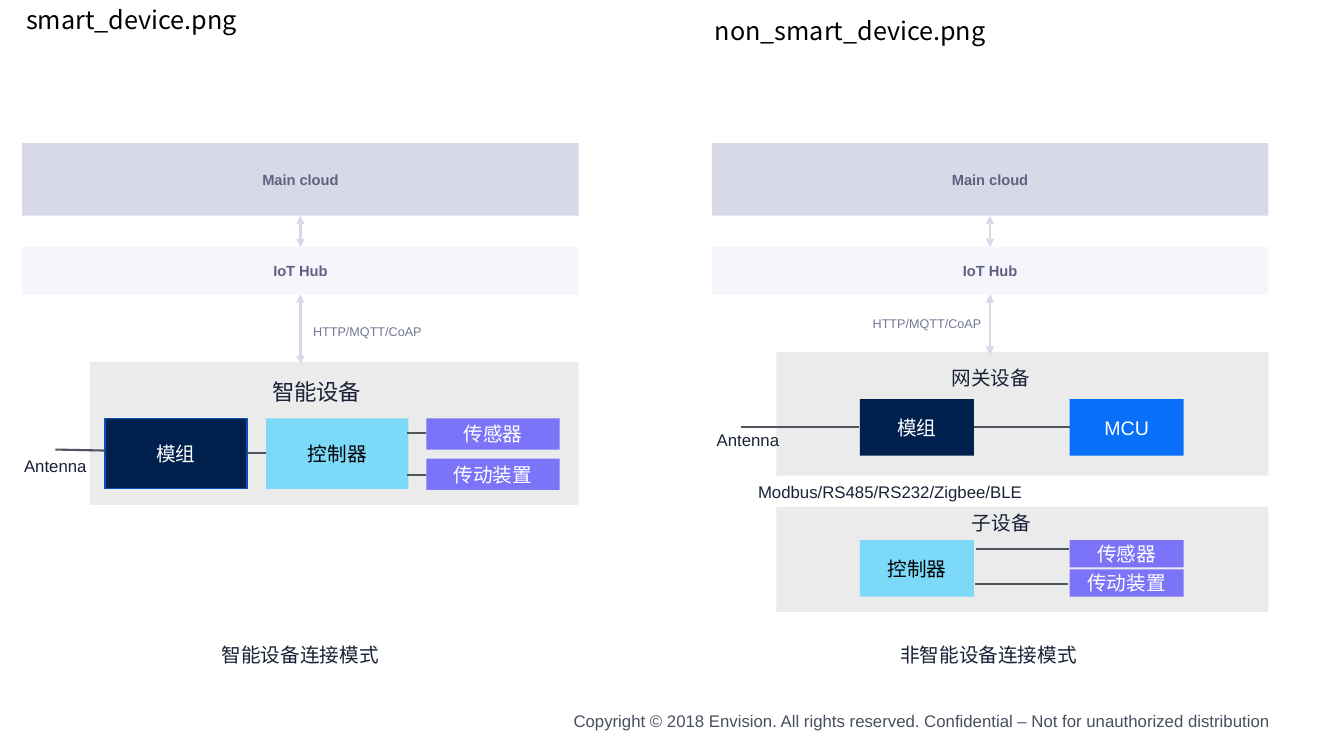
from dataclasses import dataclass

from lxml import etree
from pptx import Presentation
from pptx.dml.color import RGBColor
from pptx.enum.shapes import MSO_CONNECTOR, MSO_SHAPE
from pptx.enum.text import MSO_ANCHOR, PP_ALIGN
from pptx.oxml.ns import qn
from pptx.util import Inches, Pt

RECT = MSO_SHAPE.RECTANGLE
STRAIGHT = MSO_CONNECTOR.STRAIGHT
LEFT, CENTER, RIGHT = PP_ALIGN.LEFT, PP_ALIGN.CENTER, PP_ALIGN.RIGHT
TOP, MIDDLE = MSO_ANCHOR.TOP, MSO_ANCHOR.MIDDLE

WHITE = RGBColor(0xFF, 0xFF, 0xFF)
BLACK = RGBColor(0x00, 0x00, 0x00)
PANEL = RGBColor(0xD9, 0xD9, 0xD9)
CLOUD = RGBColor(0xD8, 0xD9, 0xE6)
HUB = RGBColor(0xF5, 0xF5, 0xFB)
NAVY = RGBColor(0x00, 0x21, 0x4E)
NAVY_EDGE = RGBColor(0x06, 0x52, 0xB8)
BLUE = RGBColor(0x08, 0x6F, 0xF9)
CYAN = RGBColor(0x7C, 0xDA, 0xF8)
PURPLE = RGBColor(0x7C, 0x74, 0xF8)
WIRE = RGBColor(0x4E, 0x54, 0x60)
INK = RGBColor(0x19, 0x22, 0x36)
LAYER_INK = RGBColor(0x5E, 0x62, 0x80)
PROTOCOL_INK = RGBColor(0x73, 0x77, 0x94)
FOOTER_INK = RGBColor(0x48, 0x4F, 0x5E)

ARIAL = "Arial"
CJK = "Noto Sans CJK SC"
STACK_W = 5.52


@dataclass
class Box:
    x: float
    y: float
    w: float
    h: float
    fill: RGBColor
    text: str = ""
    color: RGBColor = WHITE
    size: float = 14
    bold: bool = False
    edge: RGBColor | None = None
    alpha: int = 100


@dataclass
class Label:
    x: float
    y: float
    w: float
    h: float
    text: str
    size: float = 14
    color: RGBColor = INK
    font: str = ARIAL
    align: PP_ALIGN = LEFT
    anchor: MSO_ANCHOR = MIDDLE
    wrap: bool = False


@dataclass
class Line:
    x1: float
    y1: float
    x2: float
    y2: float
    color: RGBColor = WIRE
    arrows: bool = False


@dataclass
class Stack:
    x: float
    arrow_end: float
    protocol_x: float
    protocol_y: float


STACKS = [Stack(0.22, 3.61, 2.98, 3.16), Stack(7.06, 3.52, 8.53, 3.08)]

BOXES = [
    Box(0.89, 3.59, 4.85, 1.42, PANEL, alpha=50),
    Box(1.04, 4.15, 1.41, 0.7, NAVY, "模组", edge=NAVY_EDGE),
    Box(2.64, 4.15, 1.41, 0.7, CYAN, "控制器", BLACK),
    Box(4.23, 4.15, 1.32, 0.31, PURPLE, "传感器"),
    Box(4.23, 4.55, 1.32, 0.31, PURPLE, "传动装置"),
    Box(7.7, 3.49, 4.88, 1.23, PANEL, alpha=50),
    Box(8.53, 3.96, 1.13, 0.56, NAVY, "模组"),
    Box(10.61, 3.96, 1.13, 0.56, BLUE, "MCU"),
    Box(7.7, 5.03, 4.88, 1.04, PANEL, alpha=50),
    Box(8.53, 5.36, 1.13, 0.56, CYAN, "控制器", BLACK),
    Box(10.61, 5.36, 1.13, 0.27, PURPLE, "传感器"),
    Box(10.61, 5.65, 1.13, 0.27, PURPLE, "传动装置"),
]

LINES = [
    Line(4.23, 4.3, 4.04, 4.3),
    Line(4.23, 4.71, 4.04, 4.71),
    Line(2.64, 4.49, 2.45, 4.49),
    Line(1.04, 4.47, 0.55, 4.46),
    Line(8.52, 4.24, 7.35, 4.24),
    Line(10.61, 4.24, 9.66, 4.24),
    Line(10.6, 5.45, 9.68, 5.45),
    Line(10.59, 5.79, 9.67, 5.79),
]

LABELS = [
    Label(0.16, -0.01, 2.42, 0.4, "smart_device.png", 18, BLACK, CJK, anchor=TOP, wrap=True),
    Label(6.99, 0.1, 3.08, 0.4, "non_smart_device.png", 18, BLACK, CJK, anchor=TOP, wrap=True),
    Label(2.6, 3.7, 1.1, 0.37, "智能设备", 16),
    Label(9.34, 3.58, 0.99, 0.34, "网关设备"),
    Label(9.54, 5.02, 0.79, 0.34, "子设备"),
    Label(0.14, 4.47, 0.83, 0.3, "Antenna", 12),
    Label(7.01, 4.21, 0.83, 0.3, "Antenna", 12),
    Label(7.42, 4.73, 2.84, 0.3, "Modbus/RS485/RS232/Zigbee/BLE", 12),
    Label(2.1, 6.32, 1.77, 0.34, "智能设备连接模式"),
    Label(8.83, 6.32, 1.97, 0.34, "非智能设备连接模式"),
    Label(4.87, 7, 7.83, 0.3,
          "Copyright © 2018 Envision. All rights reserved. Confidential – Not for unauthorized distribution",
          12, FOOTER_INK, align=RIGHT, anchor=TOP, wrap=True),
]


def add_text(tf, text: str, size: float, color: RGBColor, align: PP_ALIGN,
             anchor: MSO_ANCHOR, font: str = ARIAL, bold: bool = False) -> None:
    tf.vertical_anchor = anchor
    p = tf.paragraphs[0]
    p.alignment = align
    r = p.add_run()
    r.text = text
    r.font.name = font
    r.font.size = Pt(size)
    r.font.bold = bold
    r.font.color.rgb = color
    latin = r.font._element.find(qn("a:latin"))
    ea = etree.Element(qn("a:ea"), typeface=CJK)
    latin.addnext(ea)


def draw_box(s, box: Box) -> None:
    sp = s.shapes.add_shape(RECT, Inches(box.x), Inches(box.y), Inches(box.w), Inches(box.h))
    sp.shadow.inherit = False
    sp.fill.solid()
    sp.fill.fore_color.rgb = box.fill
    if box.alpha < 100:
        clr = sp._element.spPr.find(qn("a:solidFill")).find(qn("a:srgbClr"))
        etree.SubElement(clr, qn("a:alpha"), val=str(box.alpha * 1000))
    if box.edge is None:
        sp.line.fill.background()
    else:
        sp.line.color.rgb = box.edge
        sp.line.width = Pt(1)
    if box.text:
        tf = sp.text_frame
        tf.margin_top = tf.margin_bottom = 0
        add_text(tf, box.text, box.size, box.color, CENTER, MIDDLE, bold=box.bold)


def draw_label(s, label: Label) -> None:
    sp = s.shapes.add_textbox(Inches(label.x), Inches(label.y), Inches(label.w), Inches(label.h))
    tf = sp.text_frame
    tf.word_wrap = label.wrap
    add_text(tf, label.text, label.size, label.color, label.align, label.anchor, label.font)


def draw_line(s, line: Line) -> None:
    cxn = s.shapes.add_connector(STRAIGHT, Inches(line.x1), Inches(line.y1),
                                 Inches(line.x2), Inches(line.y2))
    cxn.line.color.rgb = line.color
    cxn.line.width = Pt(1.5)
    if line.arrows:
        ln = cxn.line._get_or_add_ln()
        for end in ("a:headEnd", "a:tailEnd"):
            etree.SubElement(ln, qn(end), type="triangle")
    etree.SubElement(cxn._element.spPr, qn("a:effectLst"))


def draw_stack(s, stack: Stack) -> None:
    mid = stack.x + STACK_W / 2
    draw_box(s, Box(stack.x, 1.42, STACK_W, 0.72, CLOUD, "Main cloud", LAYER_INK, 10.5, True))
    draw_box(s, Box(stack.x, 2.45, STACK_W, 0.47, HUB, "IoT Hub", LAYER_INK, 10.5, True))
    draw_line(s, Line(mid, 2.14, mid, 2.45, CLOUD, True))
    draw_line(s, Line(mid, 2.92, mid, stack.arrow_end, CLOUD, True))
    draw_label(s, Label(stack.protocol_x, stack.protocol_y, 1.3, 0.25, "HTTP/MQTT/CoAP", 9,
                        PROTOCOL_INK, align=RIGHT, anchor=TOP, wrap=True))


def main() -> None:
    prs = Presentation()
    prs.slide_width, prs.slide_height = Inches(13.33), Inches(7.5)
    s = prs.slides.add_slide(prs.slide_layouts[6])
    for box in BOXES:
        draw_box(s, box)
    for line in LINES:
        draw_line(s, line)
    for stack in STACKS:
        draw_stack(s, stack)
    for label in LABELS:
        draw_label(s, label)
    prs.save("out.pptx")


if __name__ == "__main__":
    main()
